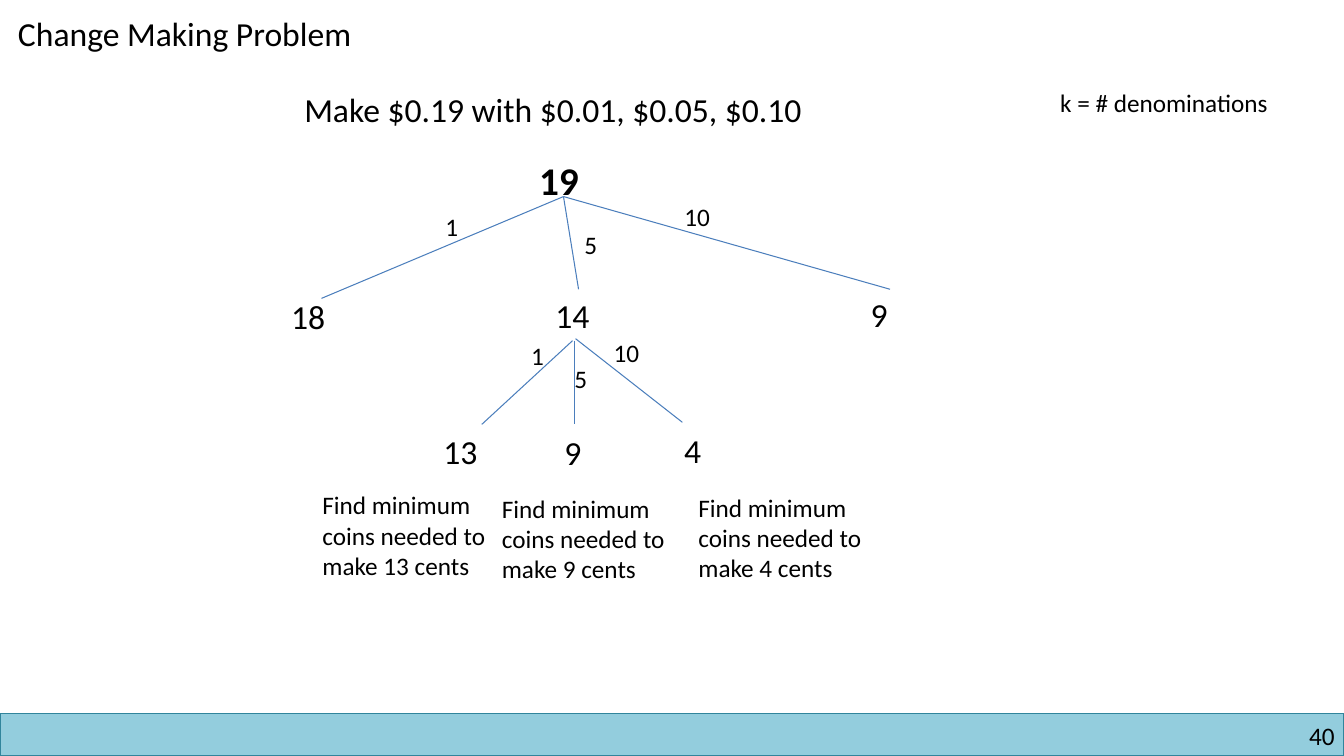
from lxml import etree
from pptx import Presentation
from pptx import util as u
from pptx.dml.color import RGBColor
from pptx.enum import shapes, text
from pptx.oxml.ns import qn

COLUMNS, ROWS = 40, 22.5
WIDTH, HEIGHT = u.Inches(13.33), u.Inches(7.5)


def color(hex_code):
    return RGBColor.from_string(hex_code)


class TreeSlide:
    """Draws the parts of a decision tree on a 40 by 22.5 grid."""

    font, ink, edge_color = "Calibri", "000000", "4B7EBC"

    def __init__(self, deck):
        self.slide = deck.slides.add_slide(deck.slide_layouts[6])

    def place(self, column, row):
        return round(column * WIDTH / COLUMNS), round(row * HEIGHT / ROWS)

    def band(self, row, fill, outline):
        footer = self.slide.shapes.add_shape(
            shapes.MSO_SHAPE.RECTANGLE, *self.place(0, row), *self.place(COLUMNS, ROWS - row))
        footer.shadow.inherit = False
        footer.fill.solid()
        footer.fill.fore_color.rgb = color(fill)
        footer.line.color.rgb = color(outline)
        footer.line.width = u.Pt(1)

    def label(self, words, column, row, columns, size=18, rows=None, wrap=False, bold=False):
        rows = rows or 0.3 + size * 0.05
        box = self.slide.shapes.add_textbox(*self.place(column, row), *self.place(columns, rows))
        frame = box.text_frame
        frame.word_wrap = wrap
        frame.text = words
        font = frame.paragraphs[0].runs[0].font
        font.name, font.size, font.bold = self.font, u.Pt(size), bold
        font.color.rgb = color(self.ink)
        return frame

    def number(self, value, column, row, size=18, bold=False):
        self.label(value, column, row, 0.6 + len(value) * size / 42, size, bold=bold)

    def page_number(self, value):
        frame = self.label(value, 30.51, 21.45, 9.21, rows=0.9, wrap=True)
        frame.margin_left = frame.margin_right = frame.margin_top = frame.margin_bottom = 0
        frame.paragraphs[0].alignment = text.PP_ALIGN.RIGHT

    def edge(self, start, end):
        branch = self.slide.shapes.add_connector(
            shapes.MSO_CONNECTOR.STRAIGHT, *self.place(*start), *self.place(*end))
        branch.line.color.rgb = color(self.edge_color)
        branch.line.width = u.Pt(0.75)
        etree.SubElement(branch._element.spPr, qn("a:effectLst"))


def main():
    deck = Presentation()
    deck.slide_width, deck.slide_height = WIDTH, HEIGHT
    tree = TreeSlide(deck)

    tree.band(21.24, "93CDDD", "31859C")
    tree.page_number("40")
    tree.label("Change Making Problem", 0.24, 0.24, 11.73, 24)
    tree.label("Make $0.19 with $0.01, $0.05, $0.10", 8.76, 2.49, 16.95, 24)
    tree.label("k = # denominations", 31.26, 2.46, 7.41)
    tree.number("19", 15.75, 4.5, 28, bold=True)

    root = (16.77, 5.85)
    branches = [
        (root, (9.57, 8.88), "1", (12.96, 6.15), "18", (8.37, 8.67)),
        (root, (17.22, 8.61), "5", (17.1, 6.69), "14", (16.23, 8.64)),
        (root, (26.49, 8.61), "10", (20.07, 5.85), "9", (25.62, 8.61)),
        ((17.04, 10.14), (14.34, 12.63), "1", (15.51, 9.99), "13", (12.9, 12.69)),
        ((17.1, 10.14), (17.1, 12.63), "5", (16.8, 10.68), "9", (16.5, 12.72)),
        ((17.13, 10.08), (20.31, 12.57), "10", (17.97, 9.9), "4", (20.07, 12.66)),
    ]
    for start, end, coin, coin_spot, remainder, remainder_spot in branches:
        tree.edge(start, end)
        tree.number(coin, *coin_spot)
        tree.number(remainder, *remainder_spot, 24)

    for cents, column, row in [(13, 9.3, 14.43), (9, 14.64, 14.52), (4, 20.49, 14.49)]:
        tree.label(f"Find minimum coins needed to make {cents} cents",
                   column, row, 5.88, rows=3.93, wrap=True)

    deck.save("out.pptx")


if __name__ == "__main__":
    main()
